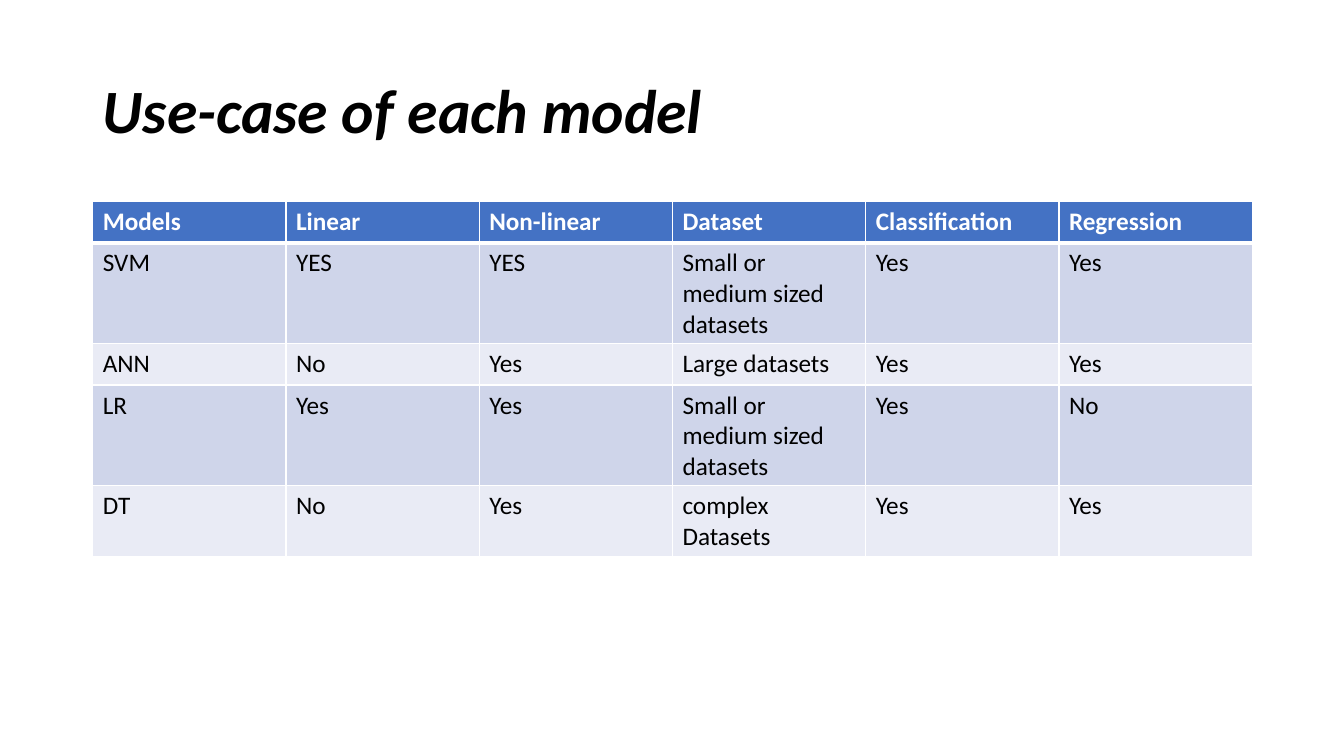
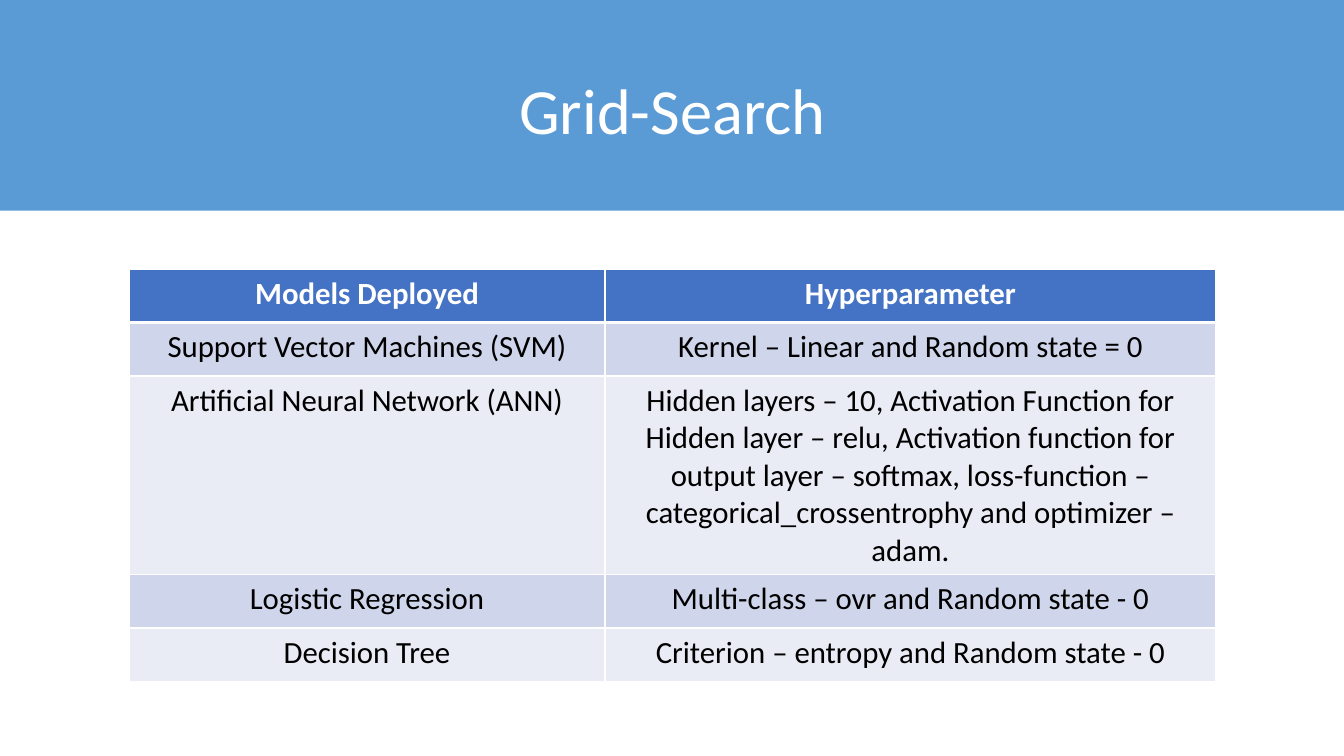
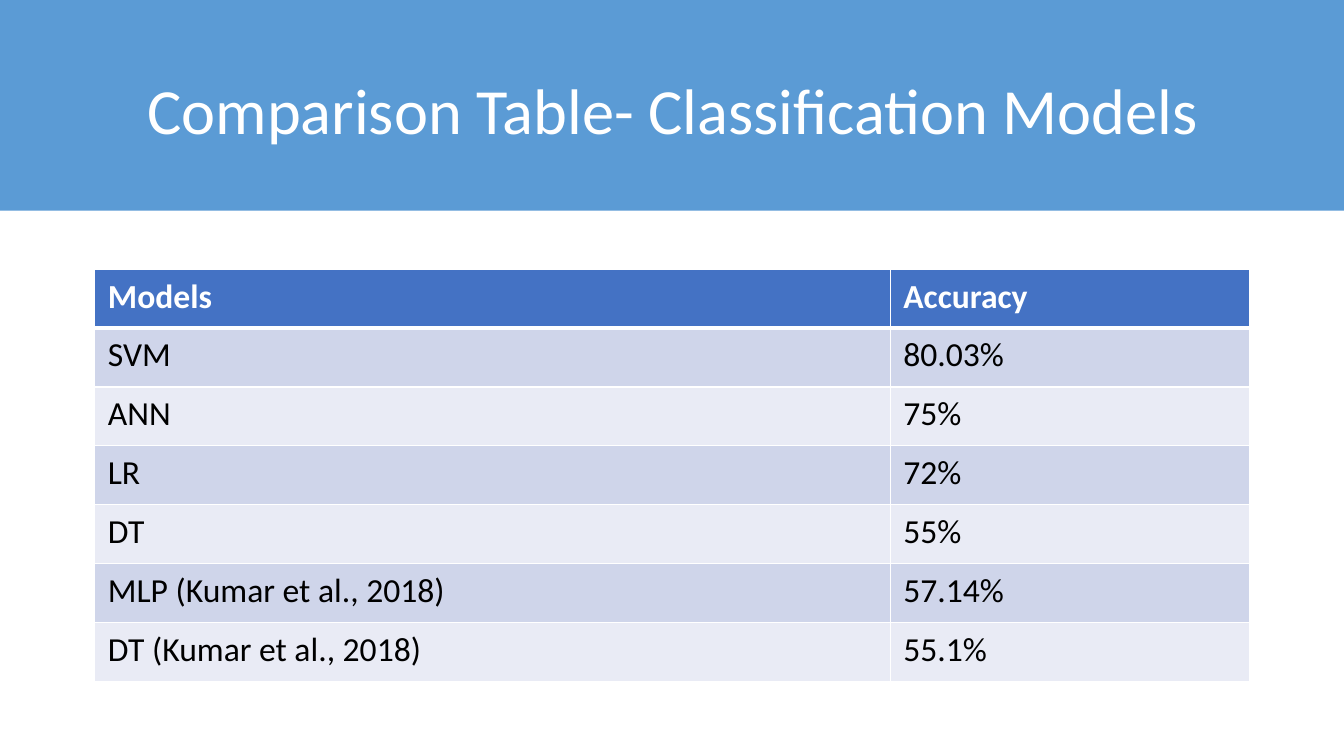
from lxml.etree import SubElement
from pptx import Presentation
from pptx.dml.color import RGBColor
from pptx.enum.shapes import MSO_SHAPE
from pptx.enum.text import MSO_ANCHOR, PP_ALIGN
from pptx.oxml.ns import qn
from pptx.util import Inches, Pt

# Shared style
FONT = "Calibri"
COLORS = {
    "band": "5B9BD5",
    "header": "4472C4",
    "odd row": "CFD5EA",
    "even row": "E9EBF5",
    "white": "FFFFFF",
    "black": "000000",
}

# Slide content
SLIDES = [
    {
        "title": "Use-case of each model", "band": False,
        "place": (0.92, 2, 11.5, 3.51),
        "columns": [11.5 / 6] * 6, "heights": [0.41] * 5,
        "size": 18, "margins": (0.1, 0.05), "align": PP_ALIGN.LEFT,
        "rows": [
            ["Models", "Linear", "Non-linear", "Dataset", "Classification", "Regression"],
            ["SVM", "YES", "YES", "Small or medium sized datasets", "Yes", "Yes"],
            ["ANN", "No", "Yes", "Large datasets", "Yes", "Yes"],
            ["LR", "Yes", "Yes", "Small or medium sized datasets", "Yes", "No"],
            ["DT", "No", "Yes", "complex Datasets", "Yes", "Yes"],
        ],
    },
    {
        "title": "Grid-Search", "band": True,
        "place": (1.28, 2.67, 10.78, 4.09),
        "columns": [4.72, 6.06], "heights": [0.53, 0.53, 1.97, 0.53, 0.53],
        "size": 22, "margins": (0.12, 0.06), "align": PP_ALIGN.CENTER,
        "rows": [
            ["Models Deployed", "Hyperparameter"],
            ["Support Vector Machines (SVM)", "Kernel – Linear and Random state = 0"],
            ["Artificial Neural Network (ANN)",
             "Hidden layers – 10, Activation Function for Hidden layer – relu, "
             "Activation function for output layer – softmax, loss-function – "
             "categorical_crossentrophy and optimizer – adam."],
            ["Logistic Regression", "Multi-class – ovr and Random state - 0"],
            ["Decision Tree", "Criterion – entropy and Random state - 0"],
        ],
    },
    {
        "title": "Comparison Table- Classification Models", "band": True,
        "place": (0.94, 2.67, 11.45, 4.09),
        "columns": [7.89, 3.56], "heights": [4.09 / 7] * 7,
        "size": 24, "margins": (0.13, 0.07), "align": PP_ALIGN.LEFT,
        "rows": [
            ["Models", "Accuracy"],
            ["SVM", "80.03%"],
            ["ANN", "75%"],
            ["LR", "72%"],
            ["DT", "55%"],
            ["MLP (Kumar et al., 2018) ", "57.14%"],
            ["DT (Kumar et al., 2018) ", "55.1%"],
        ],
    },
]


def add_run(paragraph, text, size, color, bold=False, italic=False):
    run = paragraph.add_run()
    run.text = text
    run.font.name = FONT
    run.font.size = Pt(size)
    run.font.bold = bold
    run.font.italic = italic
    run.font.color.rgb = RGBColor.from_string(COLORS[color])


def add_borders(cell, top, bottom):
    properties = cell._tc.get_or_add_tcPr()
    widths = [("a:lnL", 1), ("a:lnR", 1), ("a:lnT", top), ("a:lnB", bottom)]
    for position, (side, width) in enumerate(widths):
        line = SubElement(properties, qn(side), w=str(Pt(width)))
        fill = SubElement(line, qn("a:solidFill"))
        SubElement(fill, qn("a:srgbClr"), val=COLORS["white"])
        properties.insert(position, line)  # borders come before the cell fill


prs = Presentation()
prs.slide_width = Inches(13.33)
prs.slide_height = Inches(7.5)

for content in SLIDES:
    slide = prs.slides.add_slide(prs.slide_layouts[6])

    # Title band
    if content["band"]:
        band = slide.shapes.add_shape(
            MSO_SHAPE.RECTANGLE, 0, 0, prs.slide_width, Inches(2.09))
        band.shadow.inherit = False
        band.fill.solid()
        band.fill.fore_color.rgb = RGBColor.from_string(COLORS["band"])
        band.line.fill.background()

    # Title
    title = slide.shapes.add_textbox(
        Inches(0.92), Inches(0.4), Inches(11.5), Inches(1.45)).text_frame
    title.word_wrap = True
    title.vertical_anchor = MSO_ANCHOR.MIDDLE
    heading = title.paragraphs[0]
    heading.line_spacing = 0.9
    if content["band"]:
        heading.alignment = PP_ALIGN.CENTER
        add_run(heading, content["title"], 46, "white")
    else:
        add_run(heading, content["title"], 44, "black", bold=True, italic=True)

    # Table
    rows = content["rows"]
    left, top, width, height = map(Inches, content["place"])
    frame = slide.shapes.add_table(len(rows), len(rows[0]), left, top, width, height)
    table = frame.table
    for column, column_width in zip(table.columns, content["columns"]):
        column.width = Inches(column_width)
    for row, row_height in zip(table.rows, content["heights"]):
        row.height = Inches(row_height)
    frame.height = height

    side_margin, end_margin = map(Inches, content["margins"])
    for r, texts in enumerate(rows):
        is_header = r == 0
        shade = "header" if is_header else "odd row" if r % 2 else "even row"
        for c, text in enumerate(texts):
            cell = table.cell(r, c)
            cell.margin_left = cell.margin_right = side_margin
            cell.margin_top = cell.margin_bottom = end_margin
            cell.fill.solid()
            cell.fill.fore_color.rgb = RGBColor.from_string(COLORS[shade])
            add_borders(cell, top=3 if r == 1 else 1, bottom=3 if is_header else 1)
            paragraph = cell.text_frame.paragraphs[0]
            paragraph.alignment = content["align"]
            add_run(paragraph, text, content["size"],
                    "white" if is_header else "black", bold=is_header)

prs.save("out.pptx")
